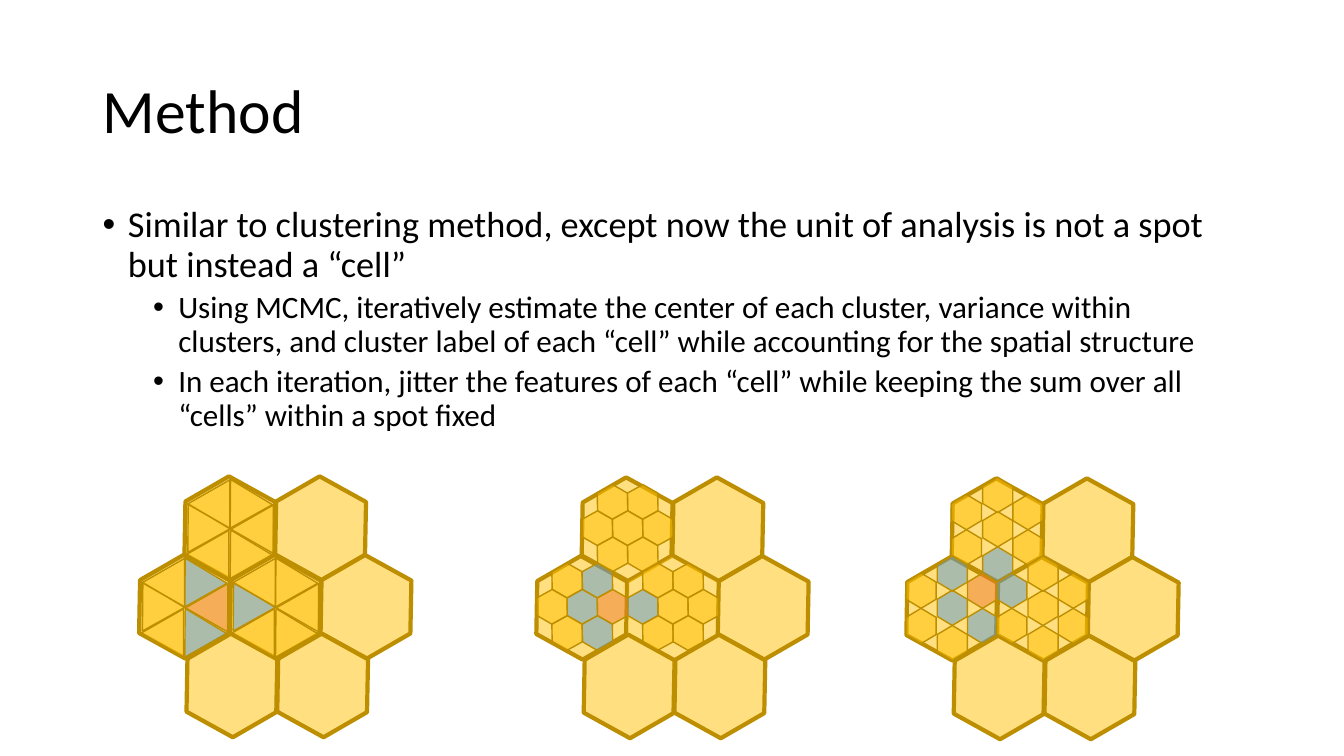
from lxml import etree
from pptx import Presentation
from pptx.dml.color import RGBColor
from pptx.enum.shapes import MSO_SHAPE
from pptx.enum.text import MSO_ANCHOR
from pptx.oxml.ns import qn
from pptx.util import Inches, Pt

BLACK = RGBColor(0x00, 0x00, 0x00)
GOLD = RGBColor(0xFF, 0xC0, 0x00)
DARK_GOLD = RGBColor(0xBD, 0x8E, 0x00)
BLUE = RGBColor(0x5B, 0x9B, 0xD5)
ORANGE = RGBColor(0xED, 0x7D, 0x31)

BULLETS = [
    (0, "Similar to clustering method, except now the unit of analysis is not a spot "
        "but instead a “cell”"),
    (1, "Using MCMC, iteratively estimate the center of each cluster, variance within "
        "clusters, and cluster label of each “cell” while accounting for the spatial structure"),
    (1, "In each iteration, jitter the features of each “cell” while keeping the sum over all "
        "“cells” within a spot fixed"),
]
# size, left margin in inches, space before
LEVELS = [(25.9, 0.25, 10), (22.2, 0.75, 5)]

SPOT_SIZE = (1.04, 0.9)
SPOTS = {
    "left": (0, 0), "top left": (0.45, -0.78), "top right": (1.35, -0.78),
    "center": (0.9, 0), "right": (1.8, 0),
    "bottom right": (1.37, 0.78), "bottom left": (0.47, 0.78),
}
SPLIT_SPOTS = ("top left", "left", "center")

# Cells of one spot: x, y from the spot's corner, and rotation
TRIANGLES = [(-0.03, 0.18, 330.8), (0.39, 0.44, 330.8), (0.39, -0.06, 330.8),
             (0.5, 0.25, 270), (0.06, 0.5, 270), (0.07, 0, 270)]
FLAT_CELLS = [(0.2, 0.03, 30), (0.5, 0.03, 30), (0.35, 0.29, 30), (0.65, 0.29, 30),
              (0.5, 0.55, 30), (0.2, 0.55, 30), (0.05, 0.29, 30)]
POINTED_CELLS = [(0.65, 0.12, 90), (0.65, 0.47, 90), (0.35, 0.29, 90), (0.35, 0.64, 90),
                 (0.04, 0.47, 90), (0.04, 0.12, 90), (0.35, -0.05, 90)]

HEXAGON, TRIANGLE = MSO_SHAPE.HEXAGON, MSO_SHAPE.ISOSCELES_TRIANGLE
FLOWERS = [
    dict(x=8.92, y=5.59, kind=HEXAGON, size=(0.35, 0.3), cells=POINTED_CELLS,
         marks={("left", 0): ORANGE, ("left", 1): BLUE, ("left", 2): BLUE,
                ("left", 6): BLUE, ("top left", 3): BLUE, ("center", 5): BLUE}),
    dict(x=5.25, y=5.58, kind=HEXAGON, size=(0.35, 0.3), cells=FLAT_CELLS,
         marks={("left", 1): BLUE, ("left", 2): BLUE, ("left", 3): ORANGE,
                ("left", 4): BLUE, ("center", 6): BLUE}, thin_spot="center"),
    dict(x=1.31, y=5.57, kind=TRIANGLE, size=(0.48, 0.42), cells=TRIANGLES,
         marks={("left", 1): BLUE, ("left", 2): BLUE, ("left", 3): ORANGE,
                ("center", 0): BLUE}),
]


def add_text_box(slide, x, y, w, h, anchor):
    tf = slide.shapes.add_textbox(Inches(x), Inches(y), Inches(w), Inches(h)).text_frame
    tf.word_wrap = True
    tf.vertical_anchor = anchor
    return tf


def write(p, text, size):
    p.line_spacing = 0.9
    r = p.add_run()
    r.text = text
    for name, value in {"name": "Calibri", "size": Pt(size)}.items():
        setattr(r.font, name, value)
    r.font.color.rgb = BLACK


def add_bullet(p, margin):
    pPr = p._p.get_or_add_pPr()
    pPr.set("marL", str(Inches(margin)))
    pPr.set("indent", str(Inches(-0.25)))
    etree.SubElement(pPr, qn("a:buFont")).set("typeface", "Arial")
    etree.SubElement(pPr, qn("a:buChar")).set("char", "•")


def add_bullets(tf):
    for i, (level, text) in enumerate(BULLETS):
        size, margin, space = LEVELS[level]
        p = tf.add_paragraph() if i else tf.paragraphs[0]
        p.level = level
        add_bullet(p, margin)
        if i:
            p.space_before = Pt(space)
        write(p, text, size)


def add_cell(group, kind, x, y, size, rotation, color, line_width):
    """Add a half-transparent hexagon or triangle."""
    w, h = size
    sp = group.shapes.add_shape(kind, Inches(x), Inches(y), Inches(w), Inches(h))
    sp.rotation = rotation
    sp.shadow.inherit = False
    if kind == HEXAGON:
        sp.adjustments[0] = 0.301
    sp.fill.solid()
    sp.fill.fore_color.rgb = color
    clr = sp.fill._xPr.find(".//" + qn("a:srgbClr"))
    etree.SubElement(clr, qn("a:alpha")).set("val", "50000")
    sp.line.color.rgb = DARK_GOLD
    sp.line.width = Pt(line_width)


def add_flower(slide, x, y, kind, size, cells, marks, thin_spot=None):
    """Add seven spots, three of them split into cells."""
    group = slide.shapes.add_group_shape()
    for spot, (dx, dy) in SPOTS.items():
        add_cell(group, HEXAGON, x + dx, y + dy, SPOT_SIZE, 330, GOLD,
                 1 if spot == thin_spot else 3)
    for spot in SPLIT_SPOTS:
        dx, dy = SPOTS[spot]
        for i, (cx, cy, rotation) in enumerate(cells):
            add_cell(group, kind, x + dx + cx, y + dy + cy, size, rotation,
                     marks.get((spot, i), GOLD), 1)


def main():
    prs = Presentation()
    prs.slide_width, prs.slide_height = Inches(13.33), Inches(7.5)
    slide = prs.slides.add_slide(prs.slide_layouts[6])
    title = add_text_box(slide, 0.92, 0.4, 11.5, 1.45, MSO_ANCHOR.MIDDLE)
    write(title.paragraphs[0], "Method", 44)
    add_bullets(add_text_box(slide, 0.92, 2, 11.5, 2.5, MSO_ANCHOR.TOP))
    for flower in FLOWERS:
        add_flower(slide, **flower)
    prs.save("out.pptx")


if __name__ == "__main__":
    main()
